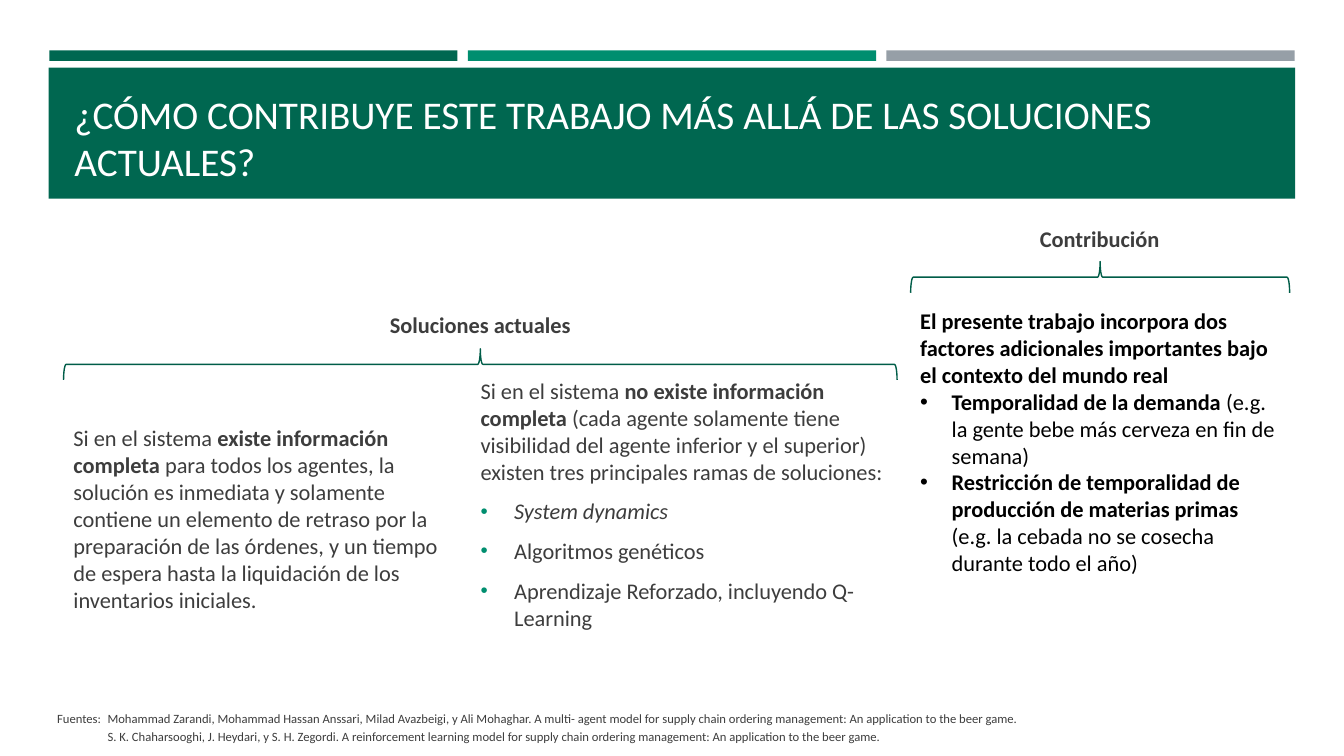
"""Build the slide on what this work adds to current solutions."""
from dataclasses import dataclass

from lxml.etree import SubElement
from pptx import Presentation
from pptx.dml.color import RGBColor as RGB
from pptx.enum.shapes import MSO_SHAPE as Shape
from pptx.enum.text import MSO_ANCHOR as Anchor, PP_ALIGN as Align
from pptx.oxml.ns import qn
from pptx.util import Pt


@dataclass
class Theme:
    """Colours, font and type sizes."""
    dark: str = "006750"
    green: str = "008E6F"
    grey: str = "969FA7"
    line: str = "005D48"
    ink: str = "3D3D3D"
    black: str = "000000"
    white: str = "FFFFFF"
    font: str = "Calibri"
    head: int = 28
    body: int = 16
    note: int = 9


T = Theme()

TITLE = [("", [("¿CÓMO CONTRIBUYE ESTE TRABAJO MÁS ALLÁ DE LAS SOLUCIONES ACTUALES?", "")])]
FULL = [("", [
    ("Si en el sistema ", ""),
    ("existe información completa ", "b"),
    ("para todos los agentes, la solución es inmediata y solamente contiene un elemento "
     "de retraso por la preparación de las órdenes, y un tiempo de espera hasta la "
     "liquidación de los inventarios iniciales.", ""),
])]
PARTIAL = [
    ("", [
        ("Si en el sistema ", ""),
        ("no existe información completa", "b"),
        (" (cada agente solamente tiene visibilidad del agente inferior y el superior) "
         "existen tres principales ramas de soluciones:", ""),
    ]),
    ("•", [("System dynamics", "i")]),
    ("•", [("Algoritmos genéticos", "")]),
    ("•", [("Aprendizaje Reforzado, incluyendo Q-Learning", "")]),
]
ADDED = [
    ("", [("El presente trabajo incorpora dos factores adicionales importantes bajo "
           "el contexto del mundo real", "b")]),
    ("•", [("Temporalidad de la demanda ", "b"),
           ("(e.g. la gente bebe más cerveza en fin de semana)", "")]),
    ("•", [("Restricción de temporalidad de producción de materias primas ", "b"),
           ("(e.g. la cebada no se cosecha durante todo el año)", "")]),
]
NOTES = [
    ("\t", [("Fuentes:\tMohammad Zarandi, Mohammad Hassan Anssari, Milad Avazbeigi, y Ali "
             "Mohaghar. A multi- agent model for supply chain ordering management: "
             "An application to the beer game.", "")]),
    ("\t", [("\tS. K. Chaharsooghi, J. Heydari, y S. H. Zegordi. A reinforcement learning "
             "model for supply chain ordering management: An application to the beer game.", "")]),
]
NOW = [("", [("Soluciones actuales", "b")])]
NEW = [("", [("Contribución", "b")])]

MID = {"anchor": Anchor.MIDDLE, "after": 6}
LABEL = MID | {"align": Align.CENTER}
TEXTS = [
    (TITLE, (46.1, 55.4, 868.3, 79.9), {"size": T.head, "color": T.white, "anchor": Anchor.BOTTOM}),
    (FULL, (45.4, 303.1, 280.8, 134.6), MID),
    (ADDED, (650.2, 216, 270.7, 200.9), {"color": T.black, "indent": 22.5}),
    (NOTES, (33.8, 504, 868.3, 31), MID | {"size": T.note, "after": 0, "gap": 1.8}),
    (PARTIAL, (336.2, 274.3, 305.3, 171.4), MID | {"gap": 3.2, "mark": T.green, "indent": 24}),
    (NOW, (258.5, 218.9, 169.2, 26.6), LABEL),
    (NEW, (691.2, 157, 188.6, 26.6), LABEL),
]
BRACES = [(45.4, 249.1, 595.4, 22.3), (650.5, 186.8, 270.7, 22.3)]
BARS = [T.dark, T.green, T.grey]
LEFT, BAR, STEP = 35.2, 291.6, 299


def block(slide, box, color):
    """Draw a plain filled rectangle."""
    rect = slide.shapes.add_shape(Shape.RECTANGLE, *map(Pt, box))
    rect.shadow.inherit = False
    rect.fill.solid()
    rect.fill.fore_color.rgb = RGB.from_string(color)
    rect.line.fill.background()


def brace(slide, box):
    """Draw a brace that points up and fills the box."""
    x, y, w, h = box
    place = x + (w - h) / 2, y + (h - w) / 2, h, w
    curve = slide.shapes.add_shape(Shape.RIGHT_BRACE, *map(Pt, place))
    curve.rotation = 270
    curve.shadow.inherit = False
    curve.fill.background()
    curve.line.color.rgb = RGB.from_string(T.line)
    curve.line.width = Pt(1)


def bullet(para, sign, indent, mark):
    """Give a paragraph a hanging bullet."""
    props = para._p.get_or_add_pPr()
    props.set("marL", str(Pt(indent)))
    props.set("indent", str(-Pt(indent)))
    if mark:
        SubElement(SubElement(props, qn("a:buClr")), qn("a:srgbClr"), val=mark)
        SubElement(props, qn("a:buSzPct"), val="92000")
    SubElement(props, qn("a:buFont"), typeface="Arial")
    SubElement(props, qn("a:buChar"), char=sign)


def tab(para, stop):
    """Add a left tab stop."""
    tabs = SubElement(para._p.get_or_add_pPr(), qn("a:tabLst"))
    SubElement(tabs, qn("a:tab"), pos=str(Pt(stop)), algn="l")


def write(slide, paras, box, size=T.body, color=T.ink, anchor=Anchor.TOP,
          align=None, gap=0, after=0, mark=None, indent=0):
    """Fill a text box run by run."""
    frame = slide.shapes.add_textbox(*map(Pt, box)).text_frame
    frame.word_wrap = True
    frame.vertical_anchor = anchor
    for i, (sign, runs) in enumerate(paras):
        para = frame.add_paragraph() if i else frame.paragraphs[0]
        if sign == "\t":
            tab(para, 36)
        elif sign:
            bullet(para, sign, indent, mark)
        para.alignment = align
        para.space_before = Pt(gap if i else 0)
        para.space_after = Pt(after)
        for words, style in runs:
            run = para.add_run()
            run.text = words
            font = run.font
            font.name, font.size = T.font, Pt(size)
            font.bold, font.italic = style == "b", style == "i"
            font.color.rgb = RGB.from_string(color)


def main():
    """Lay out the slide and save it."""
    deck = Presentation()
    deck.slide_width, deck.slide_height = Pt(960), Pt(540)
    slide = deck.slides.add_slide(deck.slide_layouts[6])
    for i, color in enumerate(BARS):
        block(slide, (LEFT + i * STEP, 36, BAR, 7.6), color)
    block(slide, (LEFT - 0.4, 48.4, 890.4, 93.6), T.dark)
    for paras, box, look in TEXTS:
        write(slide, paras, box, **look)
    for box in BRACES:
        brace(slide, box)
    deck.save("out.pptx")


if __name__ == "__main__":
    main()
